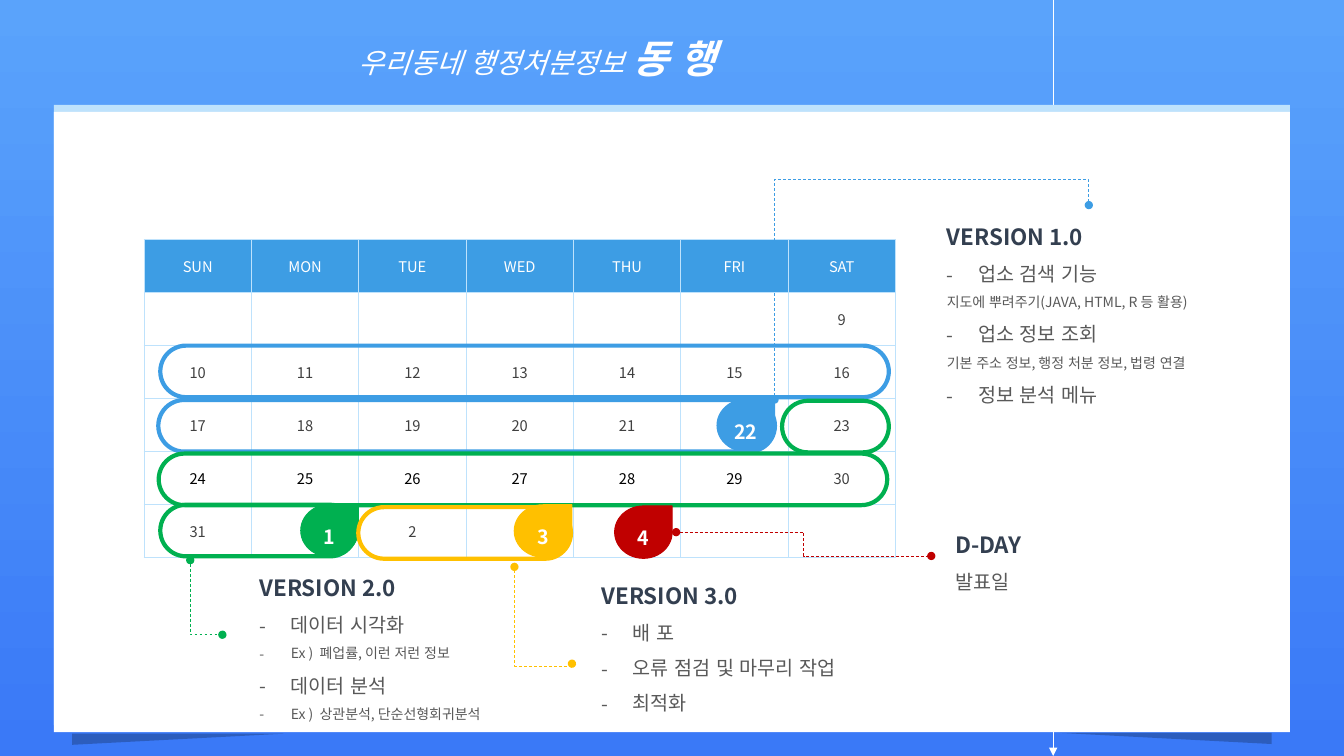
from lxml.etree import SubElement as Sub
from pptx import Presentation
from pptx.dml.color import RGBColor as RGB
from pptx.enum.dml import MSO_LINE as Dash
from pptx.enum.lang import MSO_LANGUAGE_ID as Lang
from pptx.enum.shapes import MSO_CONNECTOR as Link, MSO_SHAPE as Kind
from pptx.enum.text import MSO_ANCHOR as Anchor, MSO_AUTO_SIZE as Auto, PP_ALIGN as Align
from pptx.oxml.ns import qn
from pptx.util import Cm, Pt

FONT = "Noto Sans CJK KR"
WHITE = RGB(0xFF, 0xFF, 0xFF)
BLACK = RGB(0, 0, 0)
SKY = RGB(0x5A, 0xA3, 0xFB)
DEEP = RGB(0x3A, 0x79, 0xF7)
PALE = RGB(0xBE, 0xE2, 0xFC)
BLUE = RGB(0x3D, 0x9D, 0xE4)
GREEN = RGB(0x00, 0xB0, 0x50)
GOLD = RGB(0xFF, 0xC0, 0x00)
RED = RGB(0xC0, 0x00, 0x00)
NAVY = RGB(0x33, 0x3F, 0x50)
GREY = RGB(0x59, 0x59, 0x59)
DARK = RGB(0x40, 0x40, 0x40)

DAYS = ["SUN", "MON", "TUE", "WED", "THU", "FRI", "SAT"]
WEEKS = 5
DUE = {22, 32, 34, 35}  # days shown by drops, counted on past the 31st


def add_run(para, text, size, color, bold=False, italic=False):
    run = para.add_run()
    run.text = text
    font = run.font
    font.size, font.name = Pt(size), FONT
    font.bold, font.italic = bold, italic
    font.color.rgb = color
    font.language_id = Lang.KOREAN
    Sub(run._r.get_or_add_rPr(), qn("a:ea"), typeface=FONT)


def add_shape(slide, kind, box, fill=None, line=None, width=0.75):
    shape = slide.shapes.add_shape(kind, *map(Cm, box))
    shape.shadow.inherit = False
    if fill is None:
        shape.fill.background()
    else:
        shape.fill.solid()
        shape.fill.fore_color.rgb = fill
    if line is None:
        shape.line.fill.background()
    else:
        shape.line.color.rgb = line
        shape.line.width = Pt(width)
    return shape


def add_pill(slide, color, left, top, width):
    pill = add_shape(slide, Kind.ROUNDED_RECTANGLE, (left, top, width, 1.3),
                     line=color, width=3)
    pill.adjustments[0] = 0.5


def add_drop(slide, color, left, top, day):
    drop = add_shape(slide, Kind.TEAR, (left, top, 1.45, 1.32), color, color)
    frame = drop.text_frame
    frame.word_wrap = False
    frame.vertical_anchor = Anchor.MIDDLE
    para = frame.paragraphs[0]
    para.alignment, para.line_spacing = Align.CENTER, 1.5
    add_run(para, day, 14, WHITE, bold=True)


def add_flap(slide, left, top, flips):
    flap = add_shape(slide, Kind.RIGHT_TRIANGLE, (left, top, 5.33, 0.28), BLACK)
    for flip in flips:
        flap.element.spPr.xfrm.set(flip, "1")
    tint = flap.element.spPr.find(qn("a:solidFill"))[0]
    Sub(tint, qn("a:alpha"), val="23000")


def style_line(link, color, head, tail):
    link.line.color.rgb = color
    link.line.width = Pt(0.5)
    stroke = link.line._get_or_add_ln()
    if head:
        Sub(stroke, qn("a:headEnd"), type=head)
    Sub(stroke, qn("a:tailEnd"), type=tail)
    Sub(link.element.spPr, qn("a:effectLst"))


def add_elbow(slide, color, box, turn, flips, bend):
    left, top, width, height = box
    link = slide.shapes.add_connector(
        Link.ELBOW, Cm(left), Cm(top), Cm(left + width), Cm(top + height))
    props = link.element.spPr
    props.xfrm.set("rot", str(turn * 60000))
    for flip in flips:
        props.xfrm.set(flip, "1")
    guides = props.find(qn("a:prstGeom")).get_or_add_avLst()
    Sub(guides, qn("a:gd"), name="adj1", fmla=f"val {round(bend * 100000)}")
    link.line.dash_style = Dash.DASH
    style_line(link, color, "oval", "oval")


def add_text(slide, box):
    frame = slide.shapes.add_textbox(*map(Cm, box)).text_frame
    frame.word_wrap = True
    frame.auto_size = Auto.SHAPE_TO_FIT_TEXT
    frame.paragraphs[0].line_spacing = 1.5
    return frame


def add_note(slide, box, title, items):
    """Each item is (text, size, has a dash)."""
    frame = add_text(slide, box)
    add_run(frame.paragraphs[0], title, 16, NAVY, bold=True)
    for text, size, dash in items:
        para = frame.add_paragraph()
        para.line_spacing = 1.5
        if dash:
            props = para._p.get_or_add_pPr()
            props.set("marL", str(Cm(0.79)))
            props.set("indent", str(-Cm(0.79)))
            Sub(props, qn("a:buFont"), typeface=FONT)
            Sub(props, qn("a:buChar"), char="-")
        add_run(para, text, size, GREY)


def fill_cell(cell, text, fill, color):
    props = cell._tc.get_or_add_tcPr()
    for side in ("lnL", "lnR", "lnT", "lnB"):
        edge = Sub(props, qn(f"a:{side}"), w=str(Pt(0.75)))
        Sub(Sub(edge, qn("a:solidFill")), qn("a:srgbClr"), val=str(PALE))
    cell.fill.solid()
    cell.fill.fore_color.rgb = fill
    cell.vertical_anchor = Anchor.MIDDLE
    para = cell.text_frame.paragraphs[0]
    para.alignment = Align.CENTER
    if text:
        add_run(para, text, 10.5, color)
    else:
        para.font.size = Pt(10.5)


def add_month(slide):
    table = slide.shapes.add_table(WEEKS + 1, len(DAYS), Cm(3.63), Cm(6.04),
                                   Cm(18.94), Cm(8)).table
    table.horz_banding = False
    for col, name in enumerate(DAYS):
        fill_cell(table.cell(0, col), name, BLUE, WHITE)
        for week in range(WEEKS):
            day = week * 7 + col + 3
            shown = 9 <= day <= 35 and day not in DUE
            text = str((day - 1) % 31 + 1) if shown else ""
            color = BLACK if 24 <= day <= 29 else DARK
            fill_cell(table.cell(week + 1, col), text, WHITE, color)


def add_back(slide):
    fill = slide.background.fill
    fill.gradient()
    fill.gradient_angle = 270
    for stop, color in zip(fill.gradient_stops, (SKY, DEEP)):
        stop.color.rgb = color
    # Arrow running behind the card
    arrow = slide.shapes.add_connector(Link.STRAIGHT, Cm(26.54), 0, Cm(26.54), Cm(19.05))
    style_line(arrow, WHITE, None, "triangle")
    # Card with its pale top edge and two flaps
    card = add_shape(slide, Kind.RECTANGLE, (1.36, 2.82, 31.15, 15.63), WHITE)
    shade = Sub(card.element.spPr.find(qn("a:effectLst")), qn("a:outerShdw"),
                blurRad="0", dist=str(Pt(5)), dir=str(270 * 60000), algn="b", rotWithShape="0")
    Sub(shade, qn("a:srgbClr"), val=str(PALE))
    add_flap(slide, 1.82, 18.49, ["flipV"])
    add_flap(slide, 26.72, 18.47, ["flipH", "flipV"])


def main():
    deck = Presentation()
    deck.slide_width, deck.slide_height = Cm(33.87), Cm(19.05)
    slide = deck.slides.add_slide(deck.slide_layouts[6])
    add_back(slide)

    # Title
    para = add_text(slide, (8.79, 0.15, 15.24, 1.83)).paragraphs[0]
    add_run(para, "우리동네 행정처분정보 ", 20, WHITE, italic=True)
    add_run(para, "동 행", 28, WHITE, bold=True, italic=True)

    # Calendar with its spans and due dates
    add_month(slide)
    add_pill(slide, BLUE, 3.99, 10.08, 15.54)
    add_pill(slide, BLUE, 4.04, 8.71, 18.36)
    add_drop(slide, BLUE, 18.07, 10.06, "22")
    add_pill(slide, GREEN, 19.71, 10.1, 2.69)
    add_pill(slide, GREEN, 4, 11.43, 18.36)
    add_pill(slide, GREEN, 4.04, 12.72, 4.93)
    add_drop(slide, GREEN, 7.58, 12.71, "1")
    add_pill(slide, GOLD, 9.03, 12.78, 5.36)
    add_drop(slide, GOLD, 12.96, 12.72, "3")
    add_drop(slide, RED, 15.49, 12.75, "4")

    # Links from dates to notes
    add_elbow(slide, BLUE, (21.03, 3.66, 4.9, 7.92), 90, ["flipH", "flipV"], 1.13)
    add_elbow(slide, GREEN, (4.26, 14.65, 1.88, 0.81), 270, ["flipH"], 0.996)
    add_elbow(slide, GOLD, (12.47, 14.78, 2.44, 1.45), 270, ["flipH"], 1.023)
    add_elbow(slide, RED, (17.04, 13.41, 6.43, 0.6), 0, [], 0.5)

    # Notes
    add_note(slide, (23.61, 5.16, 7.65, 5.13), "VERSION 1.0", [
        ("업소 검색 기능", 14, True),
        ("지도에 뿌려주기(JAVA, HTML, R 등 활용)", 10, False),
        ("업소 정보 조회", 14, True),
        ("기본 주소 정보, 행정 처분 정보, 법령 연결", 10, False),
        ("정보 분석 메뉴", 14, True)])
    add_note(slide, (6.29, 14.01, 7.04, 4.37), "VERSION 2.0", [
        ("데이터 시각화", 14, True),
        ("Ex )  폐업률, 이런 저런 정보", 10, True),
        ("데이터 분석", 14, True),
        ("Ex )  상관분석, 단순선형회귀분석", 10, True)])
    add_note(slide, (14.91, 14.2, 7.47, 3.99), "VERSION 3.0", [
        ("배 포", 14, True),
        ("오류 점검 및 마무리 작업", 14, True),
        ("최적화", 14, True)])
    add_note(slide, (23.82, 12.93, 7.04, 2.18), "D-DAY", [("발표일", 14, False)])

    deck.save("out.pptx")


if __name__ == "__main__":
    main()
